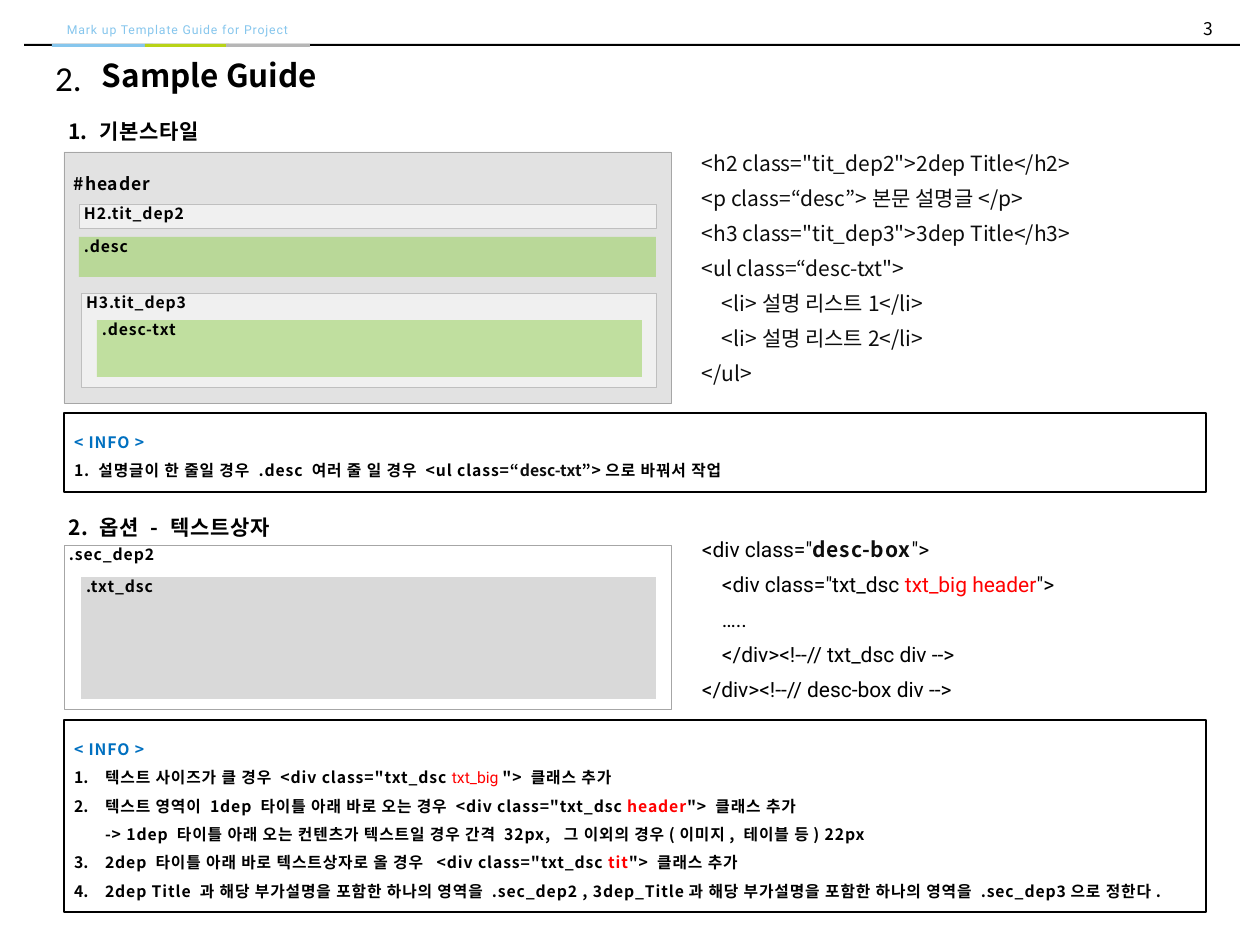
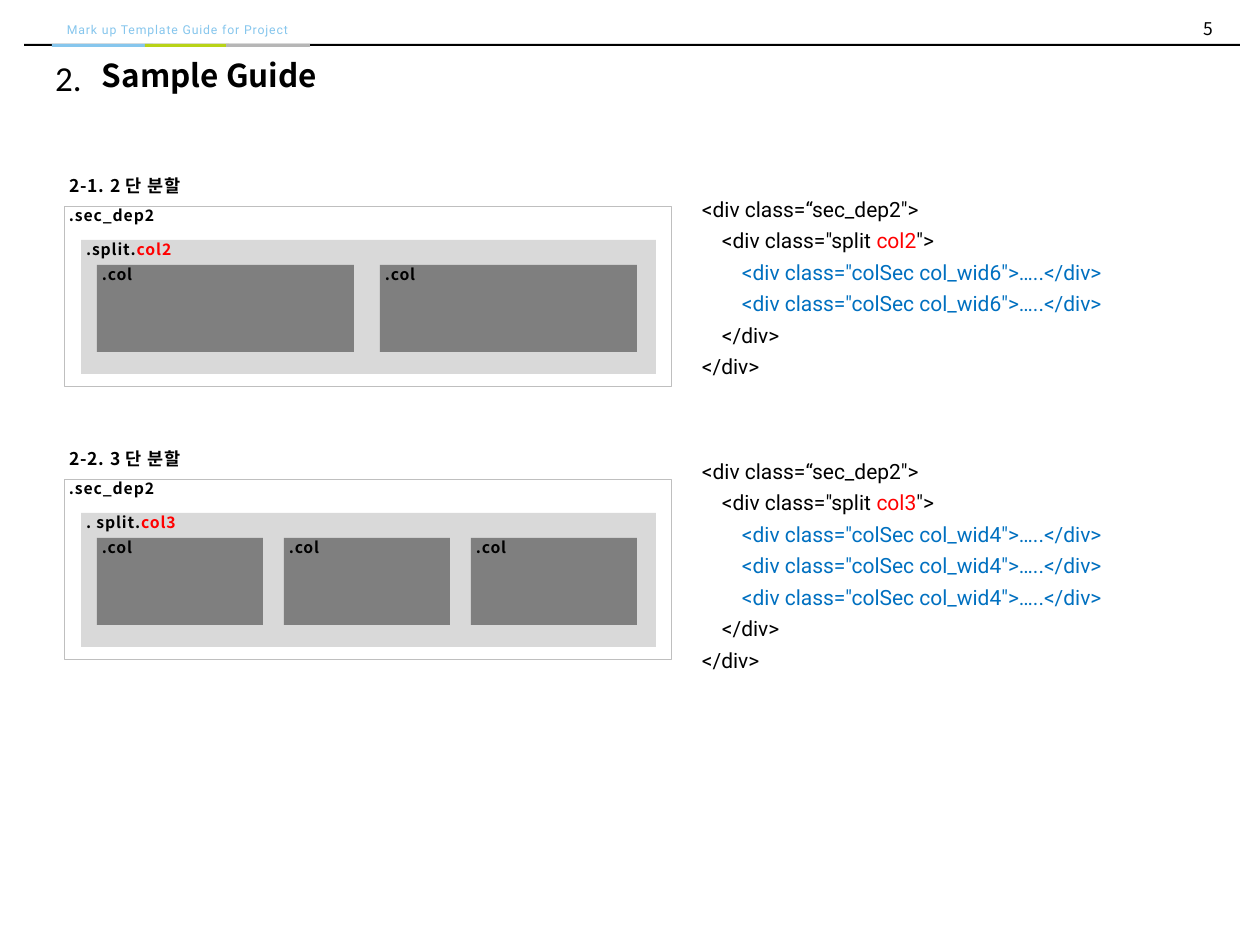
from copy import deepcopy

from lxml import etree
from pptx import Presentation
from pptx.dml.color import RGBColor
from pptx.enum.shapes import MSO_SHAPE
from pptx.enum.text import MSO_ANCHOR, MSO_AUTO_SIZE, PP_ALIGN
from pptx.oxml.ns import qn
from pptx.util import Pt

PX = 914400 / 126
RECT = MSO_SHAPE.RECTANGLE
TOP, MID = MSO_ANCHOR.TOP, MSO_ANCHOR.MIDDLE
LEFT, MIDDLE, RIGHT = PP_ALIGN.LEFT, PP_ALIGN.CENTER, PP_ALIGN.RIGHT
FIXED = MSO_AUTO_SIZE.NONE
NOTO, ROBO = "Noto Sans CJK KR", "Roboto"
NUM = -1

HEX = {
    "black": "000000", "ink": "0D0D0D", "white": "FFFFFF", "red": "FF0000",
    "blue": "0070C0", "sky": "86C6ED", "lime": "B8D317", "ash": "B6B6B6",
    "pale": "DDDDDD", "gray": "B5B5B5", "edge": "A6A6A6", "rim": "BFBFBF",
    "green": "92D050", "dark": "262626",
}

LABEL = {"name": NOTO, "size": 9, "bold": True, "color": "black", "spc": 50}
HEAD = {**LABEL, "size": 12}
SUB = {**LABEL, "size": 10}
CODE = {"name": ROBO, "size": 12, "bold": False, "color": "black", "spc": 0}
BODY = {**CODE, "name": NOTO, "color": "ink"}
TITLE = {**BODY, "size": 18, "bold": True, "color": "black"}
COUNT = {**CODE, "name": "Calibri", "size": 20}
PAGE = {**TITLE, "size": 10, "bold": False}
BRAND = {**CODE, "size": 7, "color": "sky", "spc": 50}
RED, BLUE = {"color": "red"}, {"color": "blue"}

PLAIN = (13, 6, 13, 6)
TIGHT = (5, 0, 0, 0)
ROOMY = (10, 10, 10, 0)


def emu(*vals):
    """Turn px into EMU."""
    return [round(v * PX) for v in vals]


def tint(fill, color, alpha=100):
    """Fill with a named colour at an opacity in percent."""
    fill.solid()
    fill.fore_color.rgb = RGBColor.from_string(HEX[color])
    if alpha < 100:
        node = fill._xPr.find(qn("a:solidFill"))[0]
        etree.SubElement(node, qn("a:alpha")).set("val", str(alpha * 1000))


def style(run, fmt):
    """Apply a text format to a run."""
    font = run.font
    for key in ("name", "bold"):
        setattr(font, key, fmt[key])
    font.size = Pt(fmt["size"])
    tint(font.fill, fmt["color"])
    props = run._r.get_or_add_rPr()
    props.set("spc", str(fmt["spc"]))
    etree.SubElement(props, qn("a:ea")).set("typeface", fmt["name"])


def fill_row(par, kind, runs, base):
    """Set the indent, the number and the runs of a paragraph."""
    props = par._p.get_or_add_pPr()
    pad, hang = (31, -31) if kind == NUM else (kind * 20, 0)
    for key, val in zip(("marL", "indent"), emu(pad, hang)):
        props.set(key, str(val))
    if kind == NUM:
        etree.SubElement(props, qn("a:buAutoNum")).set("type", "arabicPeriod")
    else:
        etree.SubElement(props, qn("a:buNone"))
    for part in runs:
        words, extra = (part, {}) if isinstance(part, str) else part
        if words == "\n":
            par.add_line_break()
            par._p[-1].append(deepcopy(run._r.rPr))
            continue
        run = par.add_run()
        run.text = words
        style(run, {**base, **extra})


def write(shape, rows, base, pads=TIGHT, lead=1.0, align=LEFT, anchor=TOP):
    """Write rows of (kind, run, ...) into a shape."""
    frame = shape.text_frame
    sides = ("margin_left", "margin_top", "margin_right", "margin_bottom")
    look = dict(zip(sides, emu(*pads)))
    look.update(word_wrap=True, auto_size=FIXED, vertical_anchor=anchor)
    for key, val in look.items():
        setattr(frame, key, val)
    for i, (kind, *runs) in enumerate(rows):
        par = frame.add_paragraph() if i else frame.paragraphs[0]
        form = {"alignment": align, "line_spacing": lead,
                "space_before": Pt(0), "space_after": Pt(0)}
        for key, val in form.items():
            setattr(par, key, val)
        fill_row(par, kind, runs, base)


def text(slide, box, rows, base, **opts):
    """Add a text box."""
    write(slide.shapes.add_textbox(*emu(*box)), rows, base, **opts)


def paint(shape, fill, alpha=100, line=None, width=0.25):
    """Set the fill and the outline of a shape."""
    tint(shape.fill, fill, alpha)
    if line:
        tint(shape.line.fill, line)
        shape.line.width = Pt(width)
    else:
        shape.line.fill.background()


def block(slide, box, fill, alpha=100, line=None, label=(), base=LABEL, pads=TIGHT):
    """Add a rectangle with an optional label."""
    shape = slide.shapes.add_shape(RECT, *emu(*box))
    shape.shadow.inherit = False
    paint(shape, fill, alpha, line)
    if label:
        write(shape, [(0, *label)], base, pads)


def move(shape, box):
    """Place a placeholder."""
    for key, val in zip(("left", "top", "width", "height"), emu(*box)):
        setattr(shape, key, val)


def frame(slide, page):
    """Draw the top band, the page number and the title."""
    block(slide, (24, 44, 1216, 2), "black")
    text(slide, (982, 10, 244, 37), [(0, page)], PAGE, pads=PLAIN,
         align=RIGHT, anchor=MID)
    text(slide, (54, 16, 375, 28), [(0, "Mark up Template Guide for Project")],
         BRAND, pads=PLAIN)
    for x, w, color in ((52, 101, "sky"), (145, 84, "lime"), (226, 84, "ash")):
        block(slide, (x, 44, w, 3), color)
    text(slide, (34, 50, 69, 55), [(0, "2.")], COUNT, pads=PLAIN, align=MIDDLE)
    title = slide.shapes.title
    move(title, (89, 50, 581, 50))
    write(title, [(0, "Sample Guide")], TITLE, PLAIN)


def info(shape, box, rows):
    """Turn a shape into an outlined note."""
    move(shape, box)
    paint(shape, "white", line="black", width=0.75)
    write(shape, [(0, ("< INFO >", BLUE)), *rows], LABEL, ROOMY, lead=1.5)


def basic(slide, x, y):
    """Draw the basic style diagram with its markup."""
    text(slide, (x - 1, y - 46, 400, 33), [(NUM, "기본스타일")], HEAD, lead=1.5)
    block(slide, (x, y, 607, 251), "pale", 85, "edge", ["#header"], SUB,
          (10, 21, 0, 0))
    parts = (
        (17, 141, 575, 94, "white", "rim", "H3.tit_dep3"),
        (15, 52, 577, 24, "white", "rim", "H2.tit_dep2"),
        (33, 168, 545, 57, "green", None, ".desc-txt"),
        (15, 85, 577, 40, "green", None, ".desc"),
    )
    for dx, dy, w, h, fill, line, label in parts:
        block(slide, (x + dx, y + dy, w, h), fill, 50, line, [label])
    rows = [
        (0, '<h2 class="tit_dep2">2dep Title</h2>'),
        (0, "<p class=“desc”>본문 설명글</p>"),
        (0, '<h3 class="tit_dep3">3dep Title</h3>'),
        (0, '<ul class=“desc-txt">'),
        (1, "<li>설명 리스트1</li>"),
        (1, "<li>설명 리스트2</li>"),
        (0, "</ul>"),
    ]
    text(slide, (x + 625, y - 17, 486, 260), rows, BODY, pads=PLAIN, lead=Pt(20))


def option(slide, x, y):
    """Draw the text box option with its markup."""
    text(slide, (x - 1, y - 43, 400, 38), [(0, "2. 옵션 - 텍스트상자")], HEAD,
         lead=1.5)
    block(slide, (x, y, 607, 164), "white", 60, "edge", [".sec_dep2"])
    block(slide, (x + 17, y + 32, 575, 122), "gray", 50, None, [".txt_dsc"])
    strong = {"name": NOTO, "color": "ink", "bold": True, "spc": 50}
    rows = [
        (0, '<div class="', ("desc-box", strong), '">'),
        (1, '<div class="txt_dsc ', ("txt_big header", RED), '">'),
        (1, "….."),
        (1, "</div><!--// txt_dsc div -->"),
        (0, "</div><!--// desc-box div -->"),
    ]
    text(slide, (x + 625, y - 24, 486, 189), rows, CODE, pads=PLAIN, lead=Pt(20))


def split(slide, x, y, head, label, cols, width, grid, lift):
    """Draw a split section of equal columns with its markup."""
    name = f"col{cols}"
    text(slide, (x, y - 42, 400, 33), [(0, head)], SUB, lead=1.5)
    block(slide, (x, y, 607, 180), "white", 20, "rim", [".sec_dep2"])
    block(slide, (x + 17, y + 34, 575, 134), "gray", 50, None,
          [label, (name, RED)])
    pitch = (540 - width) // (cols - 1)
    for i in range(cols):
        block(slide, (x + 33 + i * pitch, y + 59, width, 87), "dark", 50, None,
              [".col"])
    cell = (2, (f'<div class="colSec {grid}">…..</div>', BLUE))
    rows = [
        (0, '<div class=“sec_dep2">'),
        (1, '<div class="split ', (name, RED), '">'),
        *[cell] * cols,
        (1, "</div>"),
        (0, "</div>"),
    ]
    text(slide, (x + 625, y - lift, 486, 236), rows, CODE, pads=PLAIN, lead=Pt(18))


def guide(deck):
    """Build the slide of basic styles and the text box option."""
    slide = deck.slides.add_slide(deck.slide_layouts[1])
    frame(slide, "3")
    basic(slide, 64, 152)
    note = slide.shapes.add_shape(RECT, 0, 0, 0, 0)
    note.shadow.inherit = False
    thin = {"color": "ink", "spc": 0}
    info(note, (64, 413, 1142, 79), [
        (0, "1. 설명글이 한 줄일 경우 .desc 여러 줄 일 경우 <ul class=“",
         ("desc-txt", thin), "”>으로 바꿔서 작업"),
    ])
    option(slide, 64, 545)
    light = {**RED, "name": ROBO, "bold": False, "spc": 0}
    tail = '"> 클래스 추가'
    info(slide.placeholders[1], (64, 720, 1142, 192), [
        (NUM, '텍스트 사이즈가 클 경우 <div class="txt_dsc ', ("txt_big ", light), tail),
        (NUM, '텍스트 영역이 1dep 타이틀 아래 바로 오는 경우 <div class="txt_dsc ',
         ("header", RED), tail, "\n",
         "-> 1dep 타이틀 아래 오는 컨텐츠가 텍스트일 경우 간격 32px,  "
         "그 이외의 경우(이미지, 테이블 등) 22px"),
        (NUM, '2dep 타이틀 아래 바로 텍스트상자로 올 경우  <div class="txt_dsc ',
         ("tit", RED), tail),
        (NUM, "2dep Title 과 해당 부가설명을 포함한 하나의 영역을 .sec_dep2 , "
         "3dep_Title과 해당 부가설명을 포함한 하나의 영역을 .sec_dep3으로 정한다."),
    ])


def columns(deck):
    """Build the slide of column splits."""
    slide = deck.slides.add_slide(deck.slide_layouts[5])
    frame(slide, "5")
    split(slide, 64, 206, "2-1. 2단 분할", ".split.", 2, 257, "col_wid6", 22)
    split(slide, 64, 479, "2-2. 3단 분할", ". split.", 3, 166, "col_wid4", 33)


def main():
    """Build and save the deck."""
    deck = Presentation()
    deck.slide_width, deck.slide_height = emu(1260, 945)
    guide(deck)
    columns(deck)
    deck.save("out.pptx")


if __name__ == "__main__":
    main()
